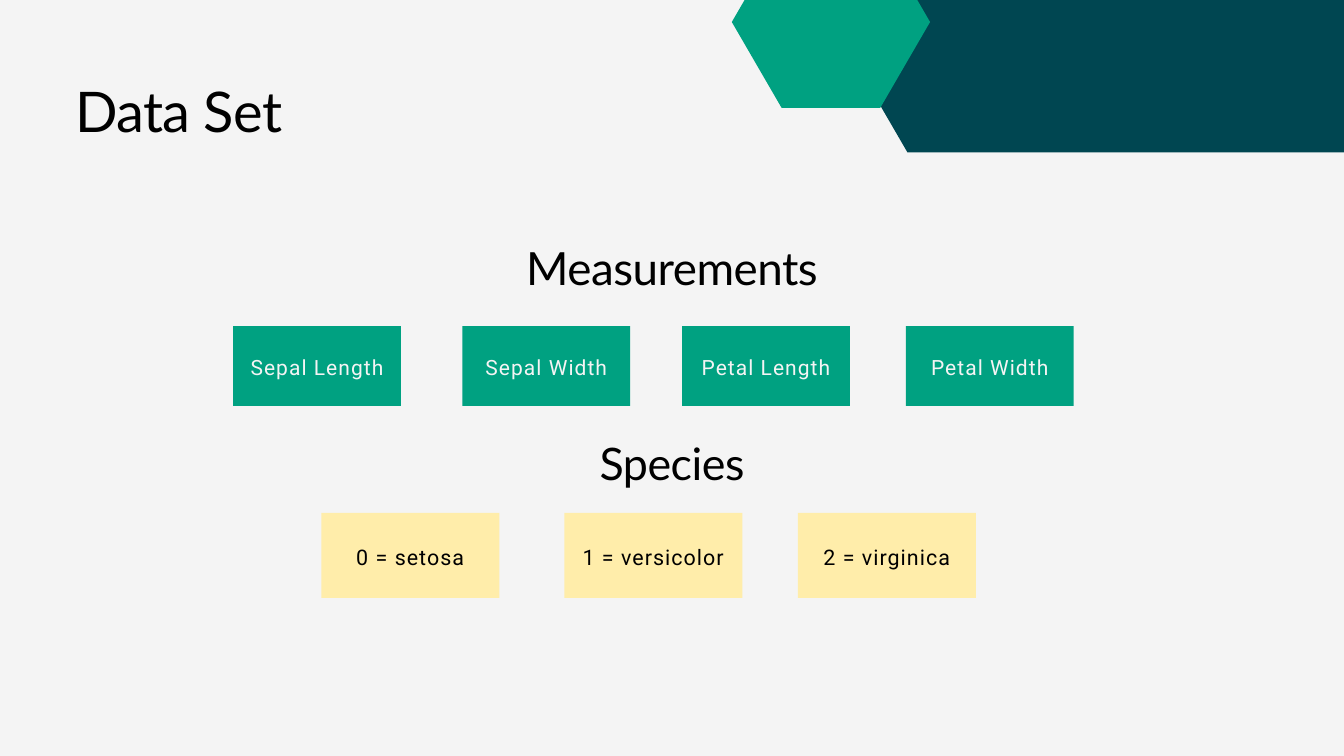
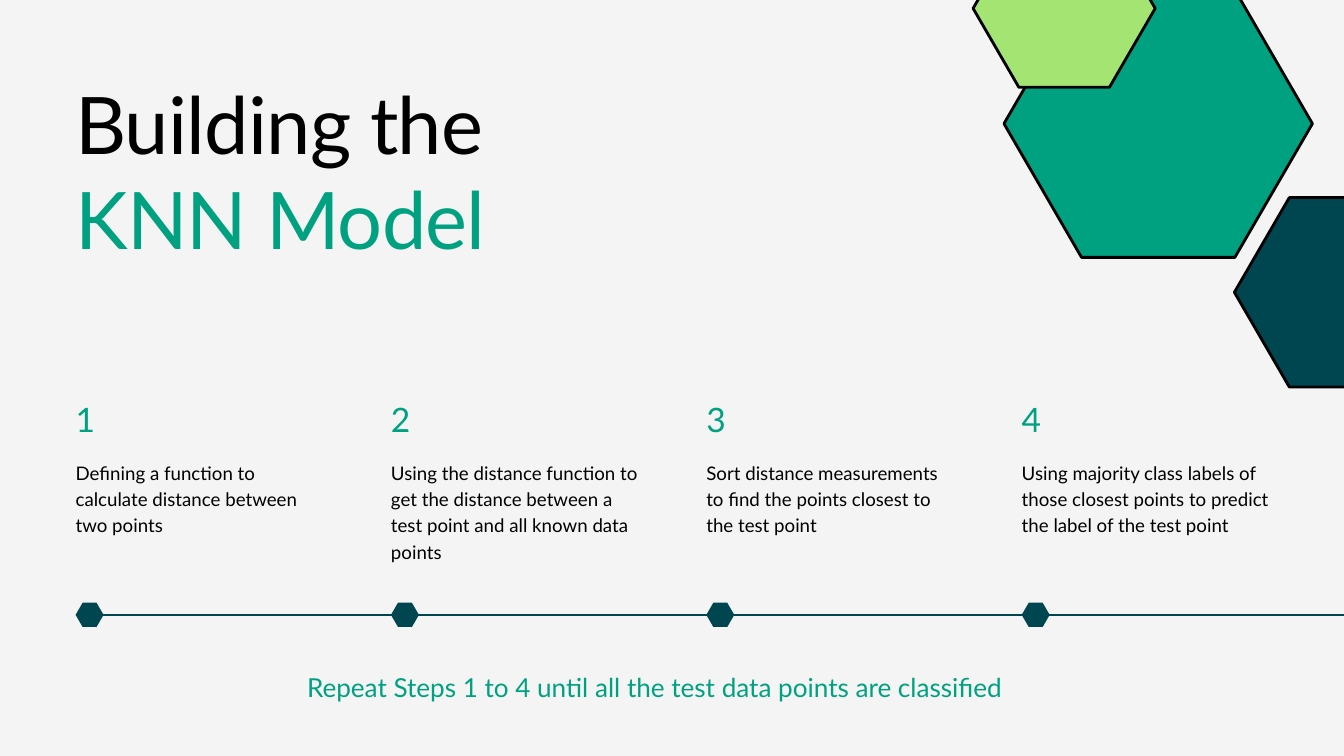
"""Builds two slides on an iris data set and the KNN steps that classify it."""
from collections import namedtuple

from lxml.etree import SubElement
from pptx import Presentation
from pptx.dml.color import RGBColor
from pptx.enum.shapes import MSO_CONNECTOR, MSO_SHAPE
from pptx.enum.text import MSO_ANCHOR, MSO_AUTO_SIZE, PP_ALIGN
from pptx.oxml.ns import qn
from pptx.util import Pt

Theme = namedtuple("Theme", "paper ink green teal lime sand head body "
                   "title hero section tag class_tag number step note")
theme = Theme(paper="F4F4F4", ink="000000", green="00A181", teal="004651",
              lime="A4E473", sand="FFEDAA", head="Lato", body="Roboto",
              title=60, hero=85, section=48, tag=22.5, class_tag=23,
              number=36, step=20, note=28)


def draw(slide, kind, box, fill, edge=None):
    shape = slide.shapes.add_shape(kind, *map(Pt, box))
    shape.shadow.inherit = False
    shape.fill.solid()
    shape.fill.fore_color.rgb = RGBColor.from_string(fill)
    if kind == MSO_SHAPE.HEXAGON:
        shape.adjustments[0] = 0.29
    if edge:
        shape.line.color.rgb = RGBColor.from_string(edge)
        shape.line.width = Pt(3)
    else:
        shape.line.fill.background()
    return shape


def write(shape, parts, size, lead, font=theme.head, space=0,
          align=PP_ALIGN.LEFT, anchor=MSO_ANCHOR.TOP):
    frame = shape.text_frame
    frame.word_wrap = True
    frame.auto_size = MSO_AUTO_SIZE.NONE
    frame.vertical_anchor = anchor
    frame.margin_left = frame.margin_right = Pt(0)
    frame.margin_top = frame.margin_bottom = Pt(0)
    para = frame.paragraphs[0]
    para.alignment = align
    para.line_spacing = Pt(lead)
    para.space_before = Pt(0)
    para.font.name = font
    para.font.size = Pt(size)
    for text, color in parts:
        run = para.add_run()
        run.text = text
        run.font.color.rgb = RGBColor.from_string(color)
        if space:
            run._r.get_or_add_rPr().set("spc", str(round(space * 100)))


deck = Presentation()
deck.slide_width, deck.slide_height = Pt(1440), Pt(810)
back = deck.slide_master.background.fill
back.solid()
back.fore_color.rgb = RGBColor.from_string(theme.paper)
layout = deck.slide_layouts[5]

titles = [
    ((80.6, 75.6, 570, 77), [("Data Set", theme.ink)], theme.title, 78, -0.6),
    ((80.6, 80.6, 509, 202.3),
     [("Building the ", theme.ink), ("KNN Model", theme.green)],
     theme.hero, 102, -0.8),
]
slides = []
for box, parts, size, lead, space in titles:
    slide = deck.slides.add_slide(layout)
    title = slide.shapes.title
    title.left, title.top, title.width, title.height = map(Pt, box)
    write(title, parts, size, lead, space=space)
    slides.append(slide)
data, model = slides

hexes = [
    (data, (830.2, -326.9, 773.3, 490.3), theme.teal, None),
    (data, (784.1, -68.4, 212.4, 184), theme.green, None),
    (model, (1322.6, 211.7, 234.7, 203), theme.teal, theme.ink),
    (model, (1075.7, -10.8, 330.5, 286.6), theme.green, theme.ink),
    (model, (1042.6, -75.6, 195.1, 169.2), theme.lime, theme.ink),
]
for slide, box, fill, edge in hexes:
    draw(slide, MSO_SHAPE.HEXAGON, box, fill, edge)

groups = [
    ("Measurements", 252, theme.section + 1, 63.7,
     349.4, 179.8, 85.5, theme.green, theme.paper, theme.tag,
     [("Sepal Length", 249.8), ("Sepal Width", 495.4),
      ("Petal Length", 730.8), ("Petal Width", 970.6)]),
    ("Species", 462.2, theme.section, 62.4,
     549.6, 190.8, 91, theme.sand, theme.ink, theme.class_tag,
     [("0 = setosa", 344.2), ("1 = versicolor", 604.6),
      ("2 = virginica", 854.8)]),
]
for name, top, size, lead, row, wide, high, fill, color, tag, items in groups:
    label = data.shapes.add_textbox(Pt(435), Pt(top), Pt(570), Pt(62))
    write(label, [(name, theme.ink)], size, lead, space=-0.5,
          align=PP_ALIGN.CENTER)
    for text, left in items:
        card = draw(data, MSO_SHAPE.RECTANGLE, (left, row, wide, high), fill)
        write(card, [(text, color)], tag, tag * 1.3, theme.body, 1.1,
              PP_ALIGN.CENTER, MSO_ANCHOR.MIDDLE)

rail = model.shapes.add_connector(MSO_CONNECTOR.STRAIGHT, Pt(100), Pt(658.8),
                                  Pt(1440), Pt(658.8))
rail.line.color.rgb = RGBColor.from_string(theme.teal)
rail.line.width = Pt(1.5)
SubElement(rail._element.spPr, qn("a:effectLst"))

steps = [
    "Defining a function to calculate distance between two points",
    "Using the distance function to get the distance between a test point "
    "and all known data points",
    "Sort distance measurements to find the points closest to the test point",
    "Using majority class labels of those closest points to predict the label "
    "of the test point",
]
for i, step in enumerate(steps):
    left = 81 + i * 337.9
    number = model.shapes.add_textbox(Pt(left), Pt(427), Pt(265), Pt(43))
    write(number, [(str(i + 1), theme.green)], theme.number, 43.2)
    text = model.shapes.add_textbox(Pt(left), Pt(491), Pt(265), Pt(110))
    write(text, [(step, theme.ink)], theme.step, 28)
    draw(model, MSO_SHAPE.HEXAGON, (left, 645.8, 30, 26), theme.teal)

note = model.shapes.add_textbox(Pt(316), Pt(713.5), Pt(770.4), Pt(77))
write(note, [("Repeat Steps 1 to 4 until all the test data points are classified",
              theme.green)], theme.note, 39.2, align=PP_ALIGN.CENTER)

deck.save("out.pptx")
